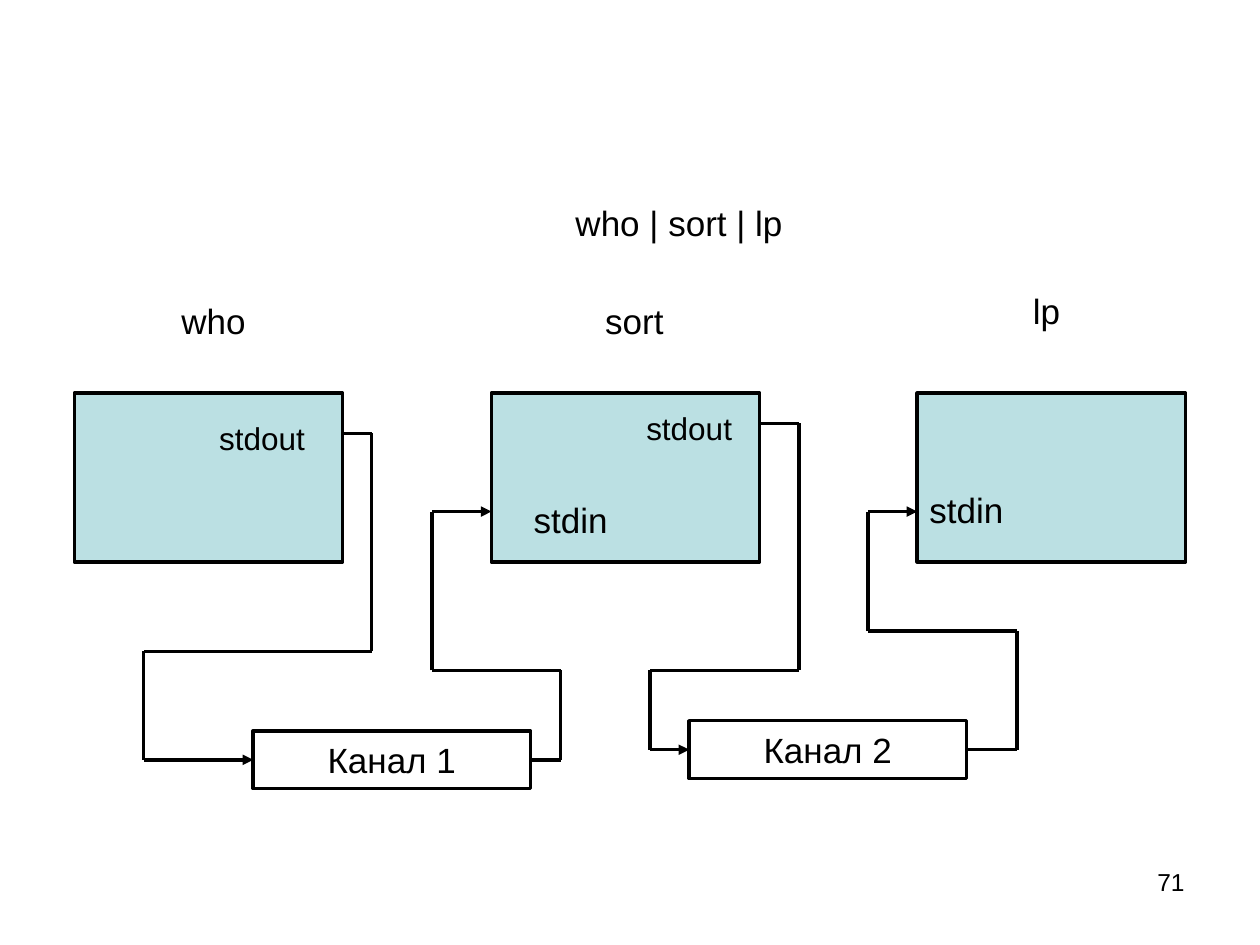
from dataclasses import dataclass
from itertools import pairwise

from lxml.etree import SubElement
from pptx import Presentation
from pptx.dml.color import RGBColor
from pptx.enum.shapes import MSO_CONNECTOR, MSO_SHAPE
from pptx.enum.text import MSO_ANCHOR, PP_ALIGN
from pptx.oxml.ns import qn
from pptx.util import Inches, Pt


@dataclass(frozen=True)
class Theme:
    """Colours, font and sizes of the slide."""
    ink: RGBColor = RGBColor(0, 0, 0)
    process: RGBColor = RGBColor(0xBB, 0xE0, 0xE3)
    font: str = "Arial"
    body: Pt = Pt(20)
    small: Pt = Pt(18)
    number: Pt = Pt(14)
    line: Pt = Pt(2)


THEME = Theme()
LEFT, RIGHT = 1, 3


def write(sp, text, size, align=PP_ALIGN.CENTER):
    """Put one formatted line of text into a shape."""
    tf = sp.text_frame
    tf.word_wrap = True
    tf.text = text
    p = tf.paragraphs[0]
    p.alignment = align
    font = p.runs[0].font
    font.name, font.size, font.color.rgb = THEME.font, size, THEME.ink


def add_label(s, box, text, size=THEME.body, align=PP_ALIGN.CENTER):
    """Add a text box at the given box."""
    write(s.shapes.add_textbox(*map(Inches, box)), text, size, align)


def add_box(s, box, fill=None):
    """Add an outlined rectangle, filled when a colour is given."""
    sp = s.shapes.add_shape(MSO_SHAPE.RECTANGLE, *map(Inches, box))
    sp.shadow.inherit = False
    if fill is None:
        sp.fill.background()
    else:
        sp.fill.solid()
        sp.fill.fore_color.rgb = fill
    sp.line.color.rgb = THEME.ink
    sp.line.width = THEME.line
    return sp


def add_process(s, box, name, name_box, ports):
    """Add a process block with its name above and its stream labels inside."""
    left, top = box[:2]
    add_box(s, box, THEME.process)
    add_label(s, name_box, name)
    for text, dx, dy, size in ports:
        add_label(s, (left + dx, top + dy, 0.94, 0.43), text, size)


def add_channel(s, box, name):
    """Add a named channel box."""
    sp = add_box(s, box)
    sp.text_frame.vertical_anchor = MSO_ANCHOR.MIDDLE
    write(sp, name, THEME.body)
    return sp


def add_wire(s, points, source=None, target=None):
    """Draw a stepped line ending in an arrow, joined to a channel at one end."""
    wires = []
    for start, end in pairwise(points):
        c = s.shapes.add_connector(MSO_CONNECTOR.STRAIGHT, *map(Inches, start + end))
        c.line.color.rgb = THEME.ink
        c.line.width = THEME.line
        SubElement(c._element.spPr, qn("a:effectLst"))
        wires.append(c)
    if source is not None:
        wires[0].begin_connect(source, RIGHT)
    if target is not None:
        wires[-1].end_connect(target, LEFT)
    SubElement(wires[-1].line._get_or_add_ln(), qn("a:tailEnd"), type="triangle")


def add_pipeline(s, box):
    """Place processes, channels and wires within the given box."""
    left, top, width, _ = box
    block_w, block_h = 2.13, 1.34
    who, sort, lp = left, left + 3.31, left + width - block_w
    out_1, out_2, stdin = top + 0.32, top + 0.24, top + 0.94

    processes = [
        (who, "who", (0.75, 2.33, 1.89, 0.43), [("stdout", 1.02, 0.16, THEME.small)]),
        (sort, "sort", (4.21, 2.33, 1.65, 0.43),
         [("stdout", 1.1, 0.08, THEME.small), ("stdin", 0.16, 0.79, THEME.body)]),
        (lp, "lp", (7.52, 2.25, 1.57, 0.43), [("stdin", -0.08, 0.71, THEME.body)]),
    ]
    for x, name, name_box, ports in processes:
        add_process(s, (x, top, block_w, block_h), name, name_box, ports)

    channel_1 = add_channel(s, (2.01, 5.8, 2.2, 0.46), "Канал 1")
    channel_2 = add_channel(s, (5.47, 5.72, 2.2, 0.46), "Канал 2")
    mid_1, mid_2 = 6.03, 5.95

    add_wire(s, [(who + block_w, out_1), (2.95, out_1), (2.95, 5.17),
                 (1.14, 5.17), (1.14, mid_1), (2.01, mid_1)], target=channel_1)
    add_wire(s, [(4.21, mid_1), (4.45, mid_1), (4.45, 5.32),
                 (3.43, 5.32), (3.43, stdin), (sort, stdin)], source=channel_1)
    add_wire(s, [(sort + block_w, out_2), (6.34, out_2), (6.34, 5.32),
                 (5.16, 5.32), (5.16, mid_2), (5.47, mid_2)], target=channel_2)
    add_wire(s, [(7.67, mid_2), (8.07, mid_2), (8.07, 5.01),
                 (6.89, 5.01), (6.89, stdin), (lp, stdin)], source=channel_2)


def main():
    """Build and save the slide."""
    prs = Presentation()
    prs.slide_width, prs.slide_height = Inches(10), Inches(7.5)
    s = prs.slides.add_slide(prs.slide_layouts[6])
    add_label(s, (2.24, 1.55, 6.3, 0.43), "who | sort | lp")
    add_pipeline(s, (0.59, 3.12, 8.82, 3.14))
    add_label(s, (7.17, 6.83, 2.33, 0.52), "71", THEME.number, PP_ALIGN.RIGHT)
    prs.save("out.pptx")


if __name__ == "__main__":
    main()
